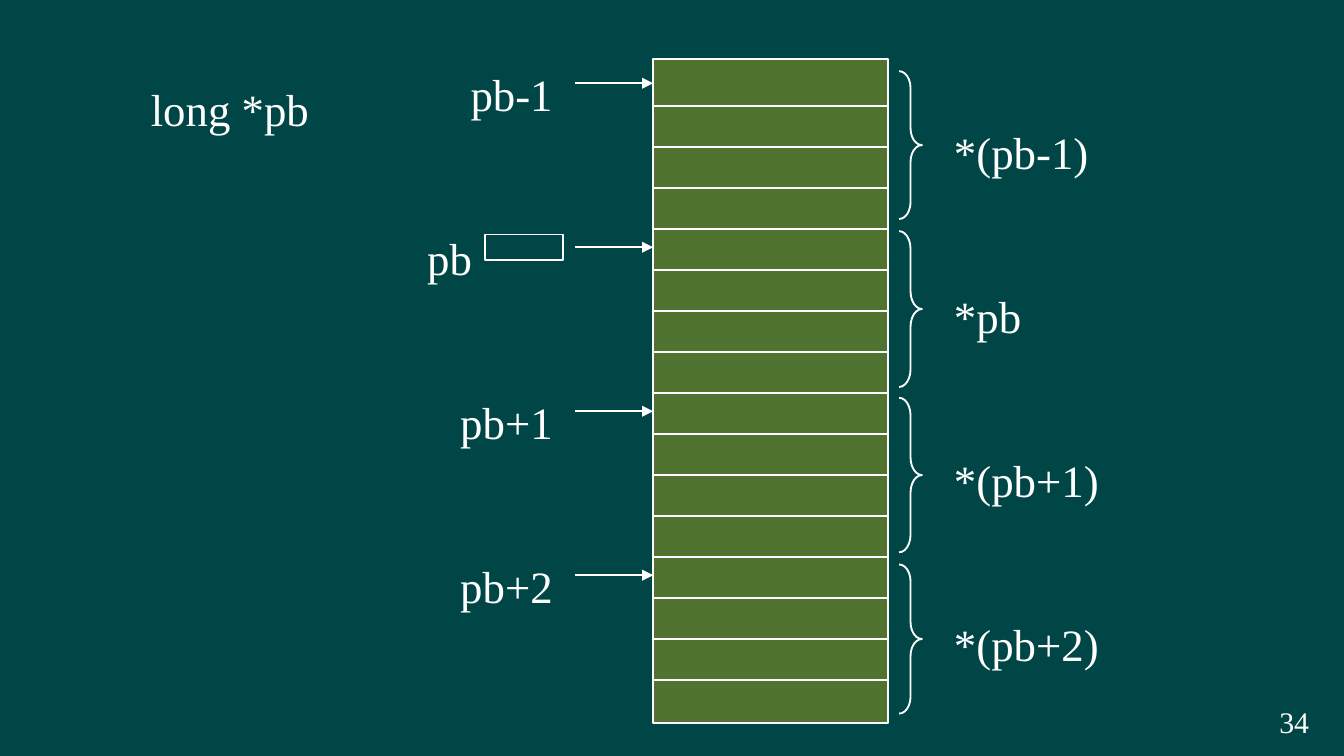
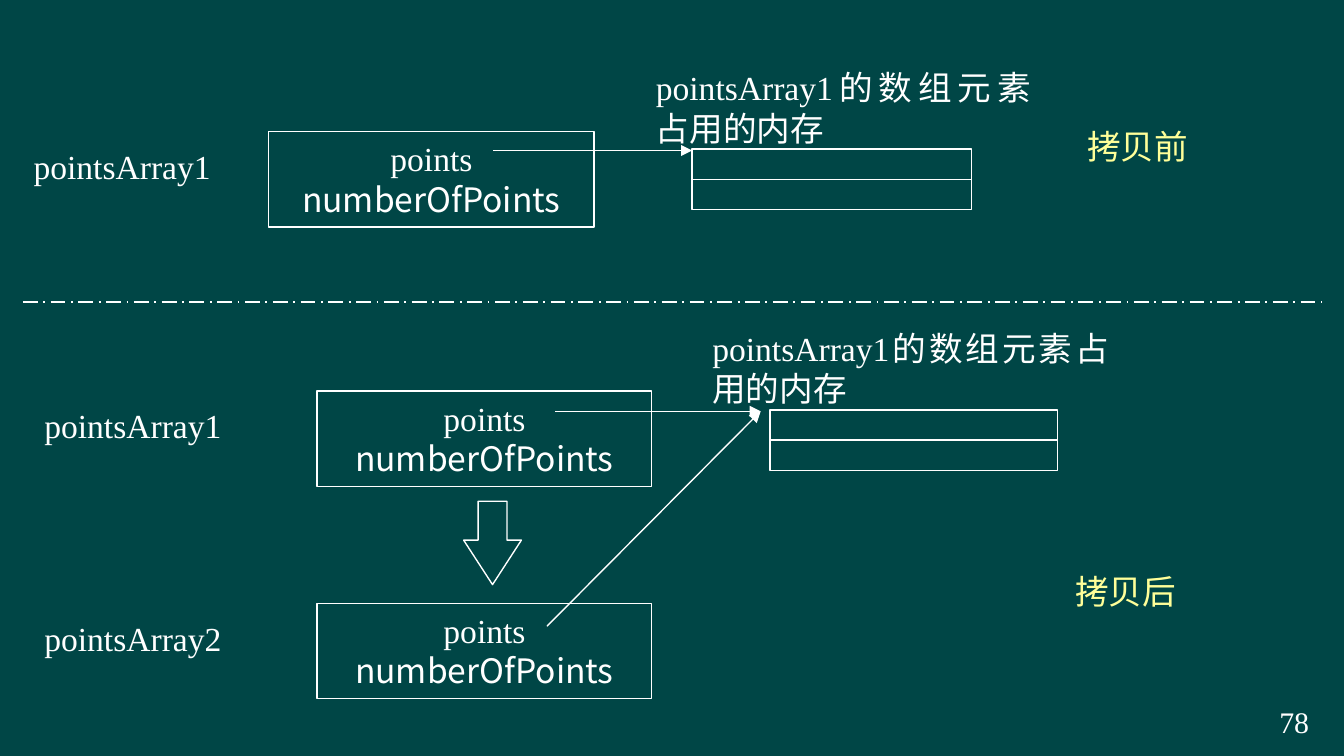
import collections

import lxml.etree
import pptx
import pptx.dml.color
import pptx.enum.dml
import pptx.enum.shapes
import pptx.enum.text
import pptx.oxml.ns
import pptx.util

# Shared style
GROUND, CELL, WHITE, YELLOW = "004646", "50742F", "FFFFFF", "FFFF99"
LATIN, HAN = "Times New Roman", "Noto Sans CJK SC"
SHAPE = pptx.enum.shapes.MSO_SHAPE
ALIGN = pptx.enum.text.PP_ALIGN
LEFT, CENTER, RIGHT, JUSTIFY = ALIGN.LEFT, ALIGN.CENTER, ALIGN.RIGHT, ALIGN.JUSTIFY

# The slide is a grid of 100 columns; rows are as high as columns are wide
deck = pptx.Presentation()
deck.slide_width = pptx.util.Inches(10)
deck.slide_height = pptx.util.Inches(5.625)
UNIT = deck.slide_width / 100


class Box(collections.namedtuple("Box", "left top width height")):
    """An area in grid columns and rows."""

    def inner(self, left, top, width, height):
        return Box(self.left + left, self.top + top, width, height)

    def emu(self):
        return [round(value * UNIT) for value in self]


def color(code):
    return pptx.dml.color.RGBColor.from_string(code)


def add_child(parent, tag, **attributes):
    return lxml.etree.SubElement(parent, pptx.oxml.ns.qn(tag), attributes)


def write(shape, lines, size, align, code=WHITE, fonts=(LATIN,),
          insets=(1, 0.5), lead=False):
    frame = shape.text_frame
    frame.word_wrap = True
    frame.vertical_anchor = pptx.enum.text.MSO_ANCHOR.TOP
    side, edge = (round(inset * UNIT) for inset in insets)
    frame.margin_left = frame.margin_right = side
    frame.margin_top = frame.margin_bottom = edge
    frame.text = lines
    for para, font in zip(frame.paragraphs, fonts):
        para.alignment = align
        if lead:  # half a line of space before
            before = add_child(para._p.get_or_add_pPr(), "a:spcBef")
            add_child(before, "a:spcPct", val="50000")
        for span in para.runs:
            span.font.size = pptx.util.Pt(size)
            span.font.name = font
            span.font.color.rgb = color(code)
            add_child(span._r.get_or_add_rPr(), "a:ea", typeface=HAN)


def add_text(page, box, text, size, align=LEFT, grow=False, **style):
    shape = page.shapes.add_textbox(*box.emu())
    write(shape, text, size, align, **style)
    if grow:
        shape.text_frame.auto_size = pptx.enum.text.MSO_AUTO_SIZE.SHAPE_TO_FIT_TEXT


def add_outline(page, box, kind=SHAPE.RECTANGLE, weight=1, fill=None, adjust=()):
    shape = page.shapes.add_shape(kind, *box.emu())
    shape.shadow.inherit = False
    if fill:
        shape.fill.solid()
        shape.fill.fore_color.rgb = color(fill)
    else:
        shape.fill.background()
    shape.line.color.rgb = color(WHITE)
    shape.line.width = pptx.util.Pt(weight)
    for index, value in enumerate(adjust):
        shape.adjustments[index] = value
    return shape


def add_line(page, start, end, weight=1, arrow=False, dash=None):
    points = [round(value * UNIT) for value in (*start, *end)]
    line = page.shapes.add_connector(
        pptx.enum.shapes.MSO_CONNECTOR.STRAIGHT, *points)
    line.line.color.rgb = color(WHITE)
    line.line.width = pptx.util.Pt(weight)
    if dash:
        line.line.dash_style = dash
    if arrow:
        add_child(line.get_or_add_ln(), "a:tailEnd", type="triangle")
    add_child(line._element.spPr, "a:effectLst")


def add_page(number):
    page = deck.slides.add_slide(deck.slide_layouts[6])
    add_text(page, Box(94.2, 51.9, 5.8, 3.7), number, 16, grow=True)
    return page


# Slide type: pointer arithmetic
def memory_column(page, box, first=3.5, step=3.05, cells=16):
    add_outline(page, box, fill=CELL)
    for index in range(cells - 1):
        row = box.top + first + index * step
        add_line(page, (box.left, row), (box.left + box.width, row))


def pointer_labels(page, box, names, step):
    for index, name in enumerate(names):
        area = box.inner(0, index * step, box.width, 5)
        row = area.top + 1.75
        right = area.left + area.width
        add_line(page, (right - 5.8, row), (right, row), arrow=True)
        slot = name == "pb"  # the pointer variable itself is drawn
        if slot:
            add_outline(page, area.inner(6.1, 0.8, 5.8, 1.9))
        add_text(page, area.inner(0, 0, 6.1 if slot else 12.1, 5), name, 24,
                 RIGHT, grow=True, lead=True)


def value_labels(page, box, names, step, braces):
    for index, (name, (top, height)) in enumerate(zip(names, braces)):
        add_outline(page, box.inner(0, top, 1.7, height), SHAPE.RIGHT_BRACE,
                    adjust=(height / 15, 0.5))
        add_text(page, box.inner(3.1, 3.5 + index * step, 16.7, 5), name, 24,
                 grow=True, lead=True)


def pointer_slide(number):
    page = add_page(number)
    names = ["pb-1", "pb", "pb+1", "pb+2"]
    values = ["*pb" if name == "pb" else f"*({name})" for name in names]
    step = 12.2
    memory_column(page, Box(48.6, 4.4, 17.5, 49.4))
    pointer_labels(page, Box(30, 4.45, 18.6, 49.4), names, step)
    value_labels(page, Box(66.9, 5.3, 19.8, 47.8), values, step,
                 [(0, 11), (11.9, 11.6), (24.3, 11.5), (36.7, 11.1)])
    add_text(page, Box(9.2, 5.6, 15.8, 5), "long *pb", 24, CENTER,
             grow=True, lead=True)


# Slide type: shallow copy, before and after
THIN = 0.75


def record(page, box, name, fields):
    """A named object: label on the left, its fields framed on the right."""
    frame = box.inner(box.width - fields, 0, fields, box.height)
    shape = add_outline(page, frame, weight=THIN)
    write(shape, "points\nnumberOfPoints", 18, CENTER, fonts=(LATIN, HAN),
          insets=(0, 0.5))
    add_text(page, box.inner(0, 1.05, 20, 2.75), name, 18, JUSTIFY, insets=(0, 0))


def array_memory(page, box, indent, cells):
    """A caption above two stacked cells."""
    add_text(page, box.inner(0, 0, box.width, 5.8),
             "pointsArray1的数组元素占用的内存", 18, JUSTIFY, insets=(0, 0))
    frame = box.inner(indent, 6.1, cells, 4.5)
    add_outline(page, frame, weight=THIN)
    middle = frame.top + frame.height / 2
    add_line(page, (frame.left, middle), (frame.left + cells, middle), THIN)


def stage_label(page, box, text):
    add_text(page, box, text, 18, CENTER, code=YELLOW, insets=(1, 0))


def before_copy(page, box):
    stage_label(page, box.inner(72.5, 4.4, 20.9, 3.2), "拷贝前")
    array_memory(page, box.inner(47.1, 0, 27.9, 10.6), 2.7, 20.8)
    record(page, box.inner(0.8, 4.8, 41.7, 7.1), "pointsArray1", 24.2)
    row = box.top + 6.2
    add_line(page, (box.left + 35, row), (box.left + 49.8, row), THIN, arrow=True)


def after_copy(page, box):
    stage_label(page, box.inner(71.6, 18.1, 20.9, 3.2), "拷贝后")
    for name, top in (("pointsArray1", 4.7), ("pointsArray2", 20.5)):
        record(page, box.inner(1.6, top, 45.2, 7.1), name, 24.9)
    array_memory(page, box.inner(51.3, 0, 29.5, 10.6), 4.3, 21.4)
    target = (box.left + 54.9, box.top + 6.2)
    for column, row in ((39.6, 6.2), (39, 22.2)):
        add_line(page, (box.left + column, box.top + row), target, THIN, arrow=True)
    add_outline(page, box.inner(32.8, 12.9, 4.3, 6.2), SHAPE.DOWN_ARROW, THIN,
                adjust=(0.5, 0.77))


def copy_slide(number):
    page = add_page(number)
    before_copy(page, Box(1.7, 5, 96.6, 17.5))
    add_line(page, (1.7, 22.5), (98.3, 22.5),
             dash=pptx.enum.dml.MSO_LINE.LONG_DASH_DOT)
    after_copy(page, Box(1.7, 24.4, 96.6, 27.6))


# Build the deck
ground = deck.slide_master.background.fill
ground.solid()
ground.fore_color.rgb = color(GROUND)
pointer_slide("34")
copy_slide("78")
deck.save("out.pptx")
